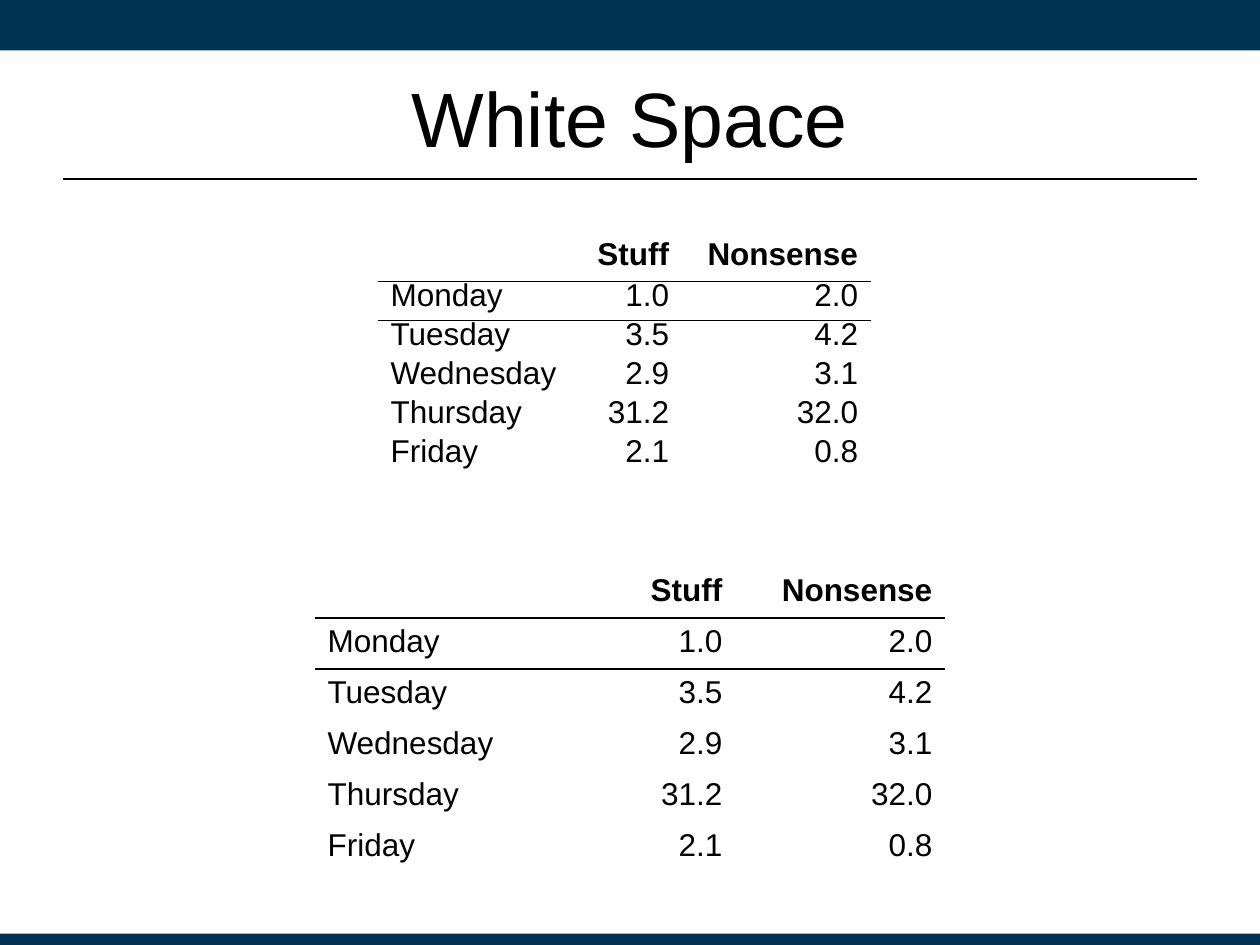
"""Build the White Space slide: one table set tight, the same table set with room."""
from lxml.etree import SubElement
from pptx import Presentation
from pptx.dml.color import RGBColor
from pptx.enum.shapes import MSO_CONNECTOR, MSO_SHAPE
from pptx.enum.text import MSO_ANCHOR, PP_ALIGN
from pptx.oxml.ns import qn
from pptx.util import Inches, Pt

TITLE = "White Space"
ROWS = [
    ("", "Stuff", "Nonsense"),
    ("Monday", "1.0", "2.0"),
    ("Tuesday", "3.5", "4.2"),
    ("Wednesday", "2.9", "3.1"),
    ("Thursday", "31.2", "32.0"),
    ("Friday", "2.1", "0.8"),
]
BANDS = [(0, 0.4), (7.41, 0.1)]
TABLES = [
    dict(left=2.5, top=4.5, widths=[5 / 3] * 3, head=0.405, body=0.405, spacing=None),
    dict(left=3, top=1.83, widths=[1.58, 0.83, 1.5], head=0.4, body=0.31, spacing=14.6),
]
THEME = dict(
    font="Arial", title=44, text=18, rule=1.25, border=1,
    ink=RGBColor(0, 0, 0), paper=RGBColor(255, 255, 255), band=RGBColor(0, 0x32, 0x52),
    table_style="{2D5ABB26-0587-4C30-8999-92F81FD0307C}",
)


def write(tf, text, size, align=PP_ALIGN.LEFT, bold=False, spacing=None):
    p = tf.paragraphs[0]
    p.alignment = align
    if spacing:
        p.line_spacing = Pt(spacing)
    if not text:
        return
    r = p.add_run()
    r.text = text
    r.font.name, r.font.size, r.font.bold = THEME["font"], Pt(size), bold
    r.font.color.rgb = THEME["ink"]


def add_band(slide, top, height):
    sp = slide.shapes.add_shape(MSO_SHAPE.RECTANGLE, 0, Inches(top), Inches(10), Inches(height))
    sp.shadow.inherit = False
    sp.fill.solid()
    sp.fill.fore_color.rgb = THEME["band"]
    sp.line.fill.background()


def add_rule(slide, left, right, y):
    line = slide.shapes.add_connector(
        MSO_CONNECTOR.STRAIGHT, Inches(left), Inches(y), Inches(right), Inches(y))
    line.line.color.rgb = THEME["ink"]
    line.line.width = Pt(THEME["rule"])
    SubElement(line._element.spPr, qn("a:effectLst"))


def add_border(cell, side):
    tc_pr = cell._tc.get_or_add_tcPr()
    ln = SubElement(tc_pr, qn(f"a:{side}"), w=str(Pt(THEME["border"])))
    fill = SubElement(ln, qn("a:solidFill"))
    SubElement(fill, qn("a:srgbClr"), val=str(THEME["ink"]))


def add_data_table(slide, left, top, widths, head, body, spacing):
    heights = [head] + [body] * (len(ROWS) - 1)
    frame = slide.shapes.add_table(
        len(ROWS), len(widths), Inches(left), Inches(top),
        Inches(sum(widths)), Inches(sum(heights)))
    table = frame.table
    table.horz_banding = False
    table._tbl.tblPr.find(qn("a:tableStyleId")).text = THEME["table_style"]
    for column, width in zip(table.columns, widths):
        column.width = Inches(width)
    for i, (row, height) in enumerate(zip(table.rows, heights)):
        row.height = Inches(height)
        for j, cell in enumerate(row.cells):
            if i < 2:
                add_border(cell, "lnT" if i else "lnB")
            cell.fill.solid()
            cell.fill.fore_color.rgb = THEME["paper"]
            write(cell.text_frame, ROWS[i][j], THEME["text"],
                  align=PP_ALIGN.RIGHT if j else PP_ALIGN.LEFT,
                  bold=i == 0, spacing=spacing if i else None)


def main():
    prs = Presentation()
    prs.slide_width, prs.slide_height = Inches(10), Inches(7.5)
    slide = prs.slides.add_slide(prs.slide_layouts[5])
    for top, height in BANDS:
        add_band(slide, top, height)
    add_rule(slide, 0.5, 9.5, 1.42)
    title = slide.shapes.title
    title.left, title.top, title.width, title.height = map(Inches, (0.5, 0.3, 9, 1.25))
    title.text_frame.vertical_anchor = MSO_ANCHOR.MIDDLE
    write(title.text_frame, TITLE, THEME["title"], align=PP_ALIGN.CENTER)
    for table in TABLES:
        add_data_table(slide, **table)
    prs.save("out.pptx")


if __name__ == "__main__":
    main()
